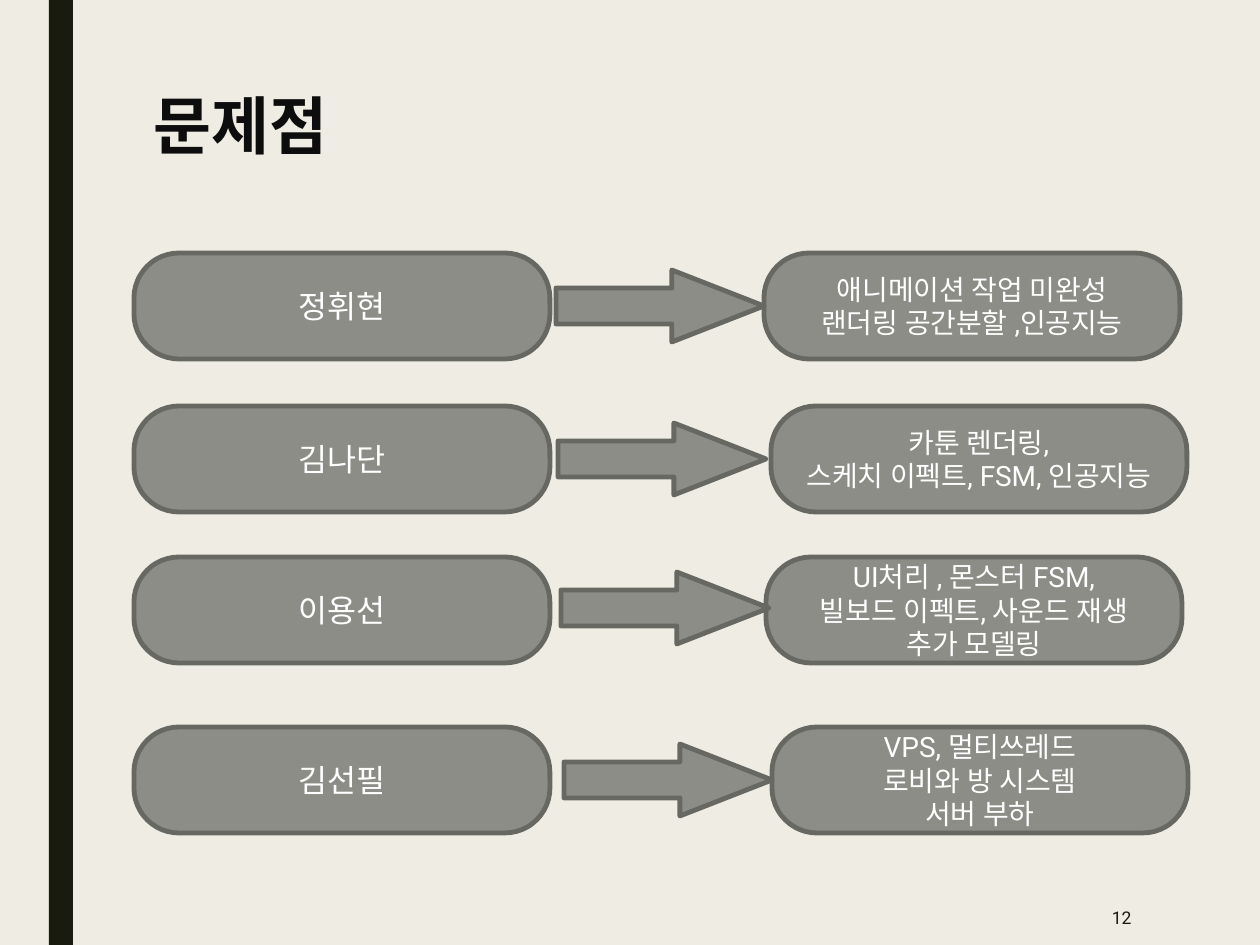
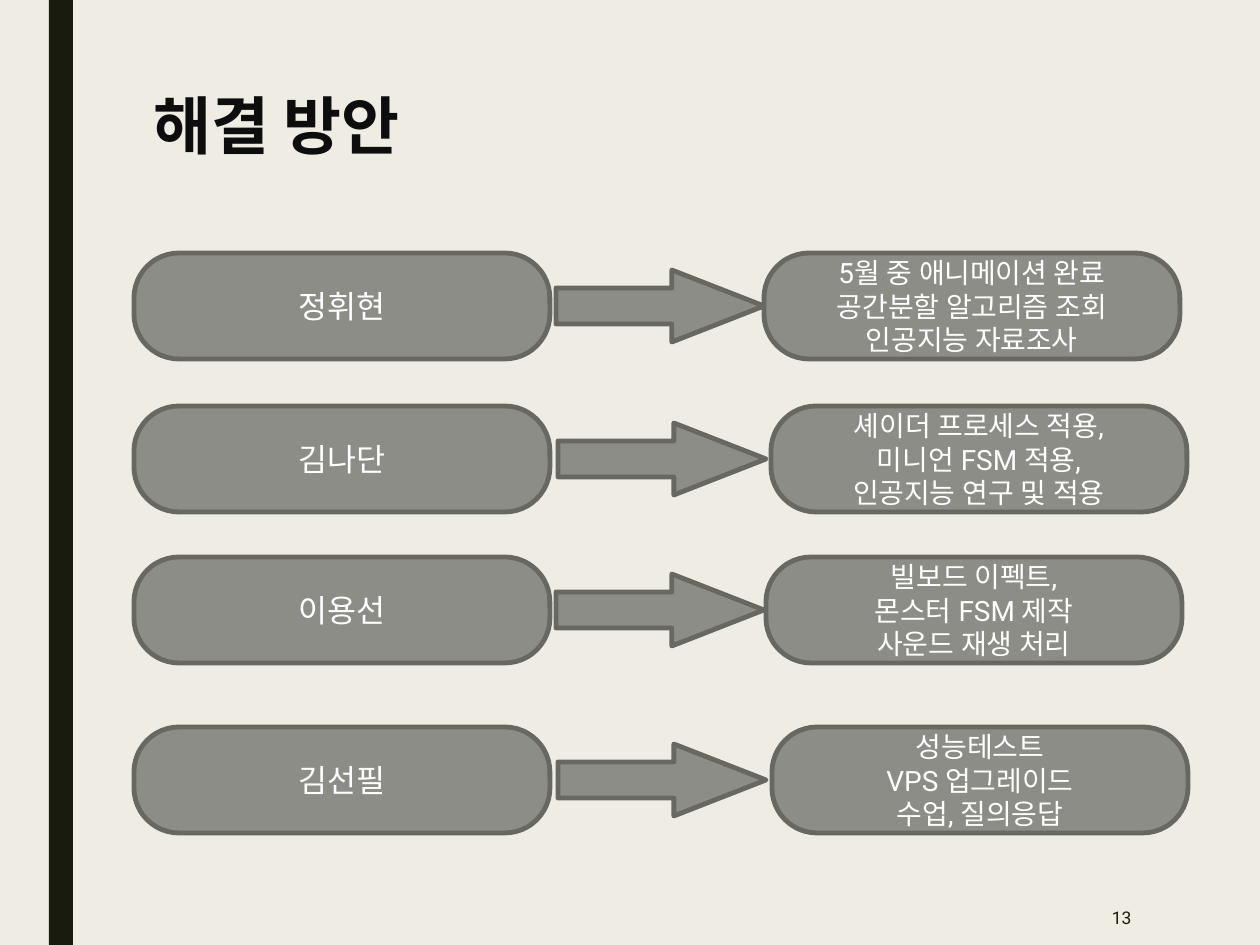
from pptx import Presentation, util as u
from pptx.dml.color import RGBColor
from pptx.enum import shapes, text
from pptx.oxml.ns import qn
from lxml import etree

# Content: title, page, and per person the notes and the arrow's left and lift
NAMES = ["정휘현", "김나단", "이용선", "김선필"]
DECK = [
    ("문제점", "12", [
        (["애니메이션 작업 미완성", "랜더링 공간분할 ,인공지능"], 556, 0),
        (["카툰 렌더링,", "스케치 이펙트, FSM, 인공지능"], 558, 0),
        (["UI처리 , 몬스터 FSM,", "빌보드 이펙트, 사운드 재생", "추가 모델링"], 561, 2),
        (["VPS, 멀티쓰레드", "로비와 방 시스템", "서버 부하"], 564, 0),
    ]),
    ("해결 방안", "13", [
        (["5월 중 애니메이션 완료", "공간분할 알고리즘 조회", "인공지능 자료조사"], 556, 0),
        (["셰이더 프로세스 적용,", "미니언 FSM 적용,", "인공지능 연구 및 적용"], 558, 0),
        (["빌보드 이펙트,", "몬스터 FSM 제작", "사운드 재생 처리"], 556, 0),
        (["성능테스트", "VPS 업그레이드", "수업, 질의응답"], 558, 0),
    ]),
]

# Shared look
HUES = {"back": "EFEDE3", "band": "191B0E", "head": "0D0D0D",
        "box": "8C8D86", "edge": "686863", "text": "FFFFFF"}
HEAD = {"name": "Noto Sans CJK KR", "size": u.Pt(36), "bold": True}
NAME = {"name": "Roboto", "size": u.Pt(18)}
NOTE = {"name": "Roboto", "size": u.Pt(16)}
PAGE = {"name": "Roboto", "size": u.Pt(10)}
KIND = shapes.MSO_SHAPE
SIDE = text.PP_ALIGN
TOPS = [253, 406, 557, 727]
LEFT, RIGHTS = 134, [764, 771, 766, 772]
BOX_W, BOX_H = 416, 106
ARROW_W, ARROW_H = 208, 72
PX = 914400 / 126


def px(*nums):
    return [u.Emu(round(n * PX)) for n in nums]


def hue(key):
    return RGBColor.from_string(HUES[key])


def write(shape, lines, font, color, align, **frame):
    tf = shape.text_frame
    frame = {"word_wrap": True, "vertical_anchor": text.MSO_ANCHOR.MIDDLE, **frame}
    for key, val in frame.items():
        setattr(tf, key, val)
    for i, line in enumerate(lines):
        para = tf.add_paragraph() if i else tf.paragraphs[0]
        para.alignment = align
        run = para.add_run()
        run.text = line
        for key, val in font.items():
            setattr(run.font, key, val)
        run.font.color.rgb = hue(color)
        # Hangul takes the East Asian font
        east = etree.SubElement(run.font._element, qn("a:ea"))
        east.set("typeface", font["name"])
    return tf


def draw(slide, kind, place, fill, edge=None, adj=()):
    shape = slide.shapes.add_shape(kind, *px(*place))
    shape.shadow.inherit = False
    shape.fill.solid()
    shape.fill.fore_color.rgb = hue(fill)
    if edge:
        shape.line.color.rgb = hue(edge)
        shape.line.width = u.Pt(2.75)
    else:
        shape.line.fill.background()
    for i, val in enumerate(adj):
        shape.adjustments[i] = val
    return shape


def card(slide, left, top, lines, font):
    box = draw(slide, KIND.ROUNDED_RECTANGLE, (left, top, BOX_W, BOX_H),
               "box", "edge", [0.425])
    write(box, lines, font, "text", SIDE.CENTER, margin_left=0, margin_right=0)


prs = Presentation()
prs.slide_width, prs.slide_height = px(1260, 945)
back = prs.slide_master.background.fill
back.solid()
back.fore_color.rgb = hue("back")

for title, page, rows in DECK:
    slide = prs.slides.add_slide(prs.slide_layouts[5])

    # Band, title and page number
    draw(slide, KIND.RECTANGLE, (49, 0, 24, 945), "band")
    head = slide.shapes.title
    head.left, head.top, head.width, head.height = px(141, 89, 993, 81)
    tf = write(head, [title], HEAD, "head", SIDE.LEFT, margin_top=0, margin_bottom=0)
    tf.paragraphs[0].line_spacing = 0.89
    foot = slide.shapes.add_textbox(*px(979, 890, 165, 55))
    write(foot, [page], PAGE, "band", SIDE.RIGHT)

    # One row per person: name, arrow, notes
    for name, top, right, (notes, start, lift) in zip(NAMES, TOPS, RIGHTS, rows):
        card(slide, LEFT, top, [name], NAME)
        mid = top + (BOX_H - ARROW_H) / 2 - lift
        card(slide, right, top, notes, NOTE)
        draw(slide, KIND.RIGHT_ARROW, (start, mid, ARROW_W, ARROW_H),
             "box", "edge", [0.5, 1.28])

prs.save("out.pptx")
